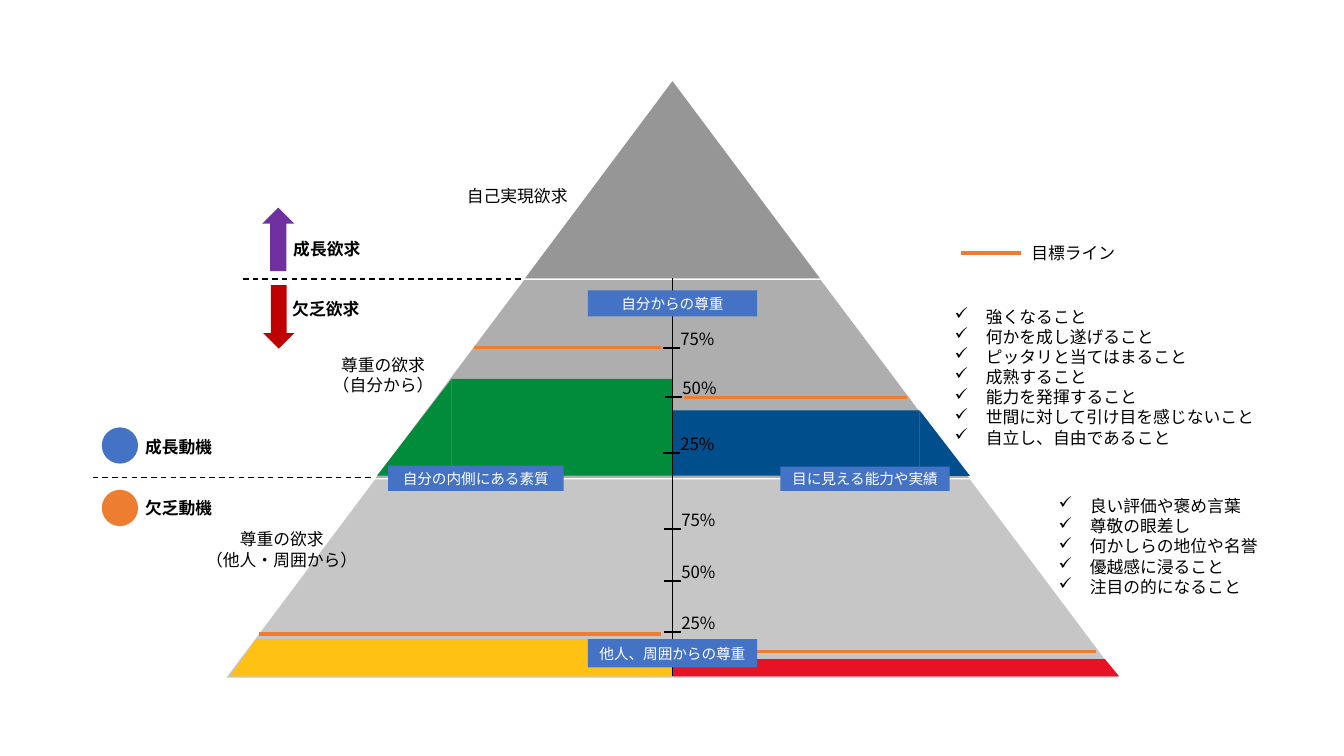
from dataclasses import dataclass

from lxml import etree
from pptx import Presentation
from pptx.dml.color import RGBColor
from pptx.enum import dml, shapes, text
from pptx.oxml import ns
from pptx.util import Inches, Pt


@dataclass(frozen=True)
class Theme:
    font: str = "Noto Sans CJK JP"
    body: float = 12
    label: float = 10.5
    black: str = "000000"
    white: str = "FFFFFF"
    blue: str = "4472C4"
    orange: str = "ED7D31"
    green: str = "008C3A"
    navy: str = "004E8B"
    yellow: str = "FFC114"
    red: str = "E71224"
    purple: str = "7030A0"
    crimson: str = "C00000"
    tiers: tuple = ("969696", "AEAEAE", "C6C6C6")


theme = Theme()
KIND = shapes.MSO_SHAPE
LEFT, CENTER = text.PP_ALIGN.LEFT, text.PP_ALIGN.CENTER

presentation = Presentation()
presentation.slide_width, presentation.slide_height = Inches(13.33), Inches(7.5)
slide = presentation.slides.add_slide(presentation.slide_layouts[6])


def add_block(kind, box, fill):
    shape = slide.shapes.add_shape(kind, *map(Inches, box))
    shape.shadow.inherit = False
    shape.fill.solid()
    shape.fill.fore_color.rgb = RGBColor.from_string(fill)
    shape.line.fill.background()
    return shape


def write(shape, wording, size=theme.body, color=theme.black, align=LEFT, bold=False):
    frame = shape.text_frame
    frame.word_wrap = True
    frame.text = wording
    for paragraph in frame.paragraphs:
        paragraph.alignment = align
        for run in paragraph.runs:
            run.font.size, run.font.bold = Pt(size), bold
            run.font.color.rgb = RGBColor.from_string(color)
            run.font.name = theme.font
            properties = run.font._element
            etree.SubElement(properties, ns.qn("a:ea"), typeface=theme.font)
    return frame


# Pyramid tiers: each one step wider and lower than the one above
AXIS, TOP, STEP, HEIGHT = 6.67, 0.79, 2.96, 1.98
for index, color in enumerate(theme.tiers):
    width = STEP * (index + 1)
    tier = add_block(KIND.TRAPEZOID, (AXIS - width / 2, TOP + HEIGHT * index, width, HEIGHT), color)
    tier.adjustments[0] = 0.75
    tier.line.color.rgb = RGBColor.from_string(theme.white)
    tier.line.width = Pt(1)

# Achieved levels: a sloped end and a bar reaching the axis
for outer, inner, top, bottom, color in (
    (3.74, 4.48, 3.76, 4.72, theme.green),
    (9.62, 9.12, 4.07, 4.72, theme.navy),
    (2.28, 2.54, 6.34, 6.71, theme.yellow),
    (11.1, 10.96, 6.54, 6.71, theme.red),
):
    height = bottom - top
    slope = add_block(KIND.RIGHT_TRIANGLE, (min(outer, inner), top, abs(outer - inner), height), color)
    if outer < AXIS:
        slope._element.spPr.get_or_add_xfrm().set("flipH", "1")
    add_block(KIND.RECTANGLE, (min(inner, AXIS), top, abs(inner - AXIS), height), color)

# Axis, target lines, dashed borders and scale ticks
ticks = [
    (6.58, 3.45, "75%"), (6.6, 3.94, "50%"), (6.58, 4.49, "25%"),
    (6.59, 5.25, "75%"), (6.59, 5.76, "50%"), (6.59, 6.27, "25%"),
]
lines = [(AXIS, 2.76, AXIS, 6.71, theme.black, 0.5, False)]
lines += [
    (start, y, end, y, theme.orange, 2.25, False)
    for start, end, y in (
        (4.7, 6.56, 3.45), (6.78, 9, 3.94), (2.57, 6.56, 6.29),
        (6.67, 10.87, 6.46), (9.53, 10.13, 2.51),
    )
]
lines += [(x, y, x + 0.16, y, theme.black, 1.5, False) for x, y, _ in ticks]
lines += [(0.92, 4.74, 3.7, 4.74, theme.black, 1, True), (2.41, 2.77, 5.19, 2.77, theme.black, 1, True)]
for *ends, color, width, dashed in lines:
    connector = slide.shapes.add_connector(shapes.MSO_CONNECTOR.STRAIGHT, *map(Inches, ends))
    connector.line.color.rgb = RGBColor.from_string(color)
    connector.line.width = Pt(width)
    if dashed:
        connector.line.dash_style = dml.MSO_LINE.DASH
    etree.SubElement(connector._element.spPr, ns.qn("a:effectLst"))

# Blue labels
for box, wording in (
    ((5.83, 2.88, 1.68, 0.26), "自分からの尊重"),
    ((3.85, 4.62, 1.74, 0.25), "自分の内側にある素質"),
    ((7.74, 4.63, 1.68, 0.24), "目に見える能力や実績"),
    ((5.83, 6.34, 1.68, 0.28), "他人、周囲からの尊重"),
):
    label = add_block(KIND.RECTANGLE, box, theme.blue)
    frame = write(label, wording, theme.label, theme.white, CENTER)
    frame.vertical_anchor = text.MSO_ANCHOR.MIDDLE
    frame.margin_left = frame.margin_right = 0

# Arrows and motive markers
add_block(KIND.UP_ARROW, (2.6, 2.06, 0.32, 0.63), theme.purple)
add_block(KIND.DOWN_ARROW, (2.61, 2.83, 0.31, 0.63), theme.crimson)
add_block(KIND.OVAL, (1.01, 4.24, 0.36, 0.36), theme.blue)
add_block(KIND.OVAL, (1.01, 4.86, 0.36, 0.36), theme.orange)

# Captions and scale values
captions = [
    ((10.13, 2.36, 1.48, 0.3), "目標ライン", LEFT, False),
    ((4.44, 1.79, 1.38, 0.3), "自己実現欲求", CENTER, False),
    ((1.93, 5.2, 1.73, 0.5), "尊重の欲求\n（他人・周囲から）", CENTER, False),
    ((3.11, 3.47, 1.38, 0.5), "尊重の欲求\n（自分から）", CENTER, False),
    ((1.34, 4.28, 1.38, 0.3), "成長動機", LEFT, True),
    ((1.34, 4.89, 0.93, 0.3), "欠乏動機", LEFT, True),
    ((2.81, 2.32, 1.38, 0.3), "成長欲求", LEFT, True),
    ((2.8, 2.91, 1.38, 0.3), "欠乏欲求", LEFT, True),
]
captions += [((x + 0.07, y - 0.24, 0.56, 0.3), value, LEFT, False) for x, y, value in ticks]
for box, wording, align, bold in captions:
    caption = slide.shapes.add_textbox(*map(Inches, box))
    write(caption, wording, align=align, bold=bold)

# Check lists
for box, items in (
    ((9.37, 2.99, 3.47, 1.51), (
        "強くなること", "何かを成し遂げること", "ピッタリと当てはまること", "成熟すること",
        "能力を発揮すること", "世間に対して引け目を感じないこと", "自立し、自由であること",
    )),
    ((10.4, 4.87, 2.42, 1.11), (
        "良い評価や褒め言葉", "尊敬の眼差し", "何かしらの地位や名誉",
        "優越感に浸ること", "注目の的になること",
    )),
):
    checklist = slide.shapes.add_textbox(*map(Inches, box))
    for paragraph in write(checklist, "\n".join(items)).paragraphs:
        properties = paragraph._p.get_or_add_pPr()
        properties.set("marL", str(Inches(0.31)))
        properties.set("indent", str(-Inches(0.31)))
        etree.SubElement(properties, ns.qn("a:buChar"), char="✓")

presentation.save("out.pptx")
